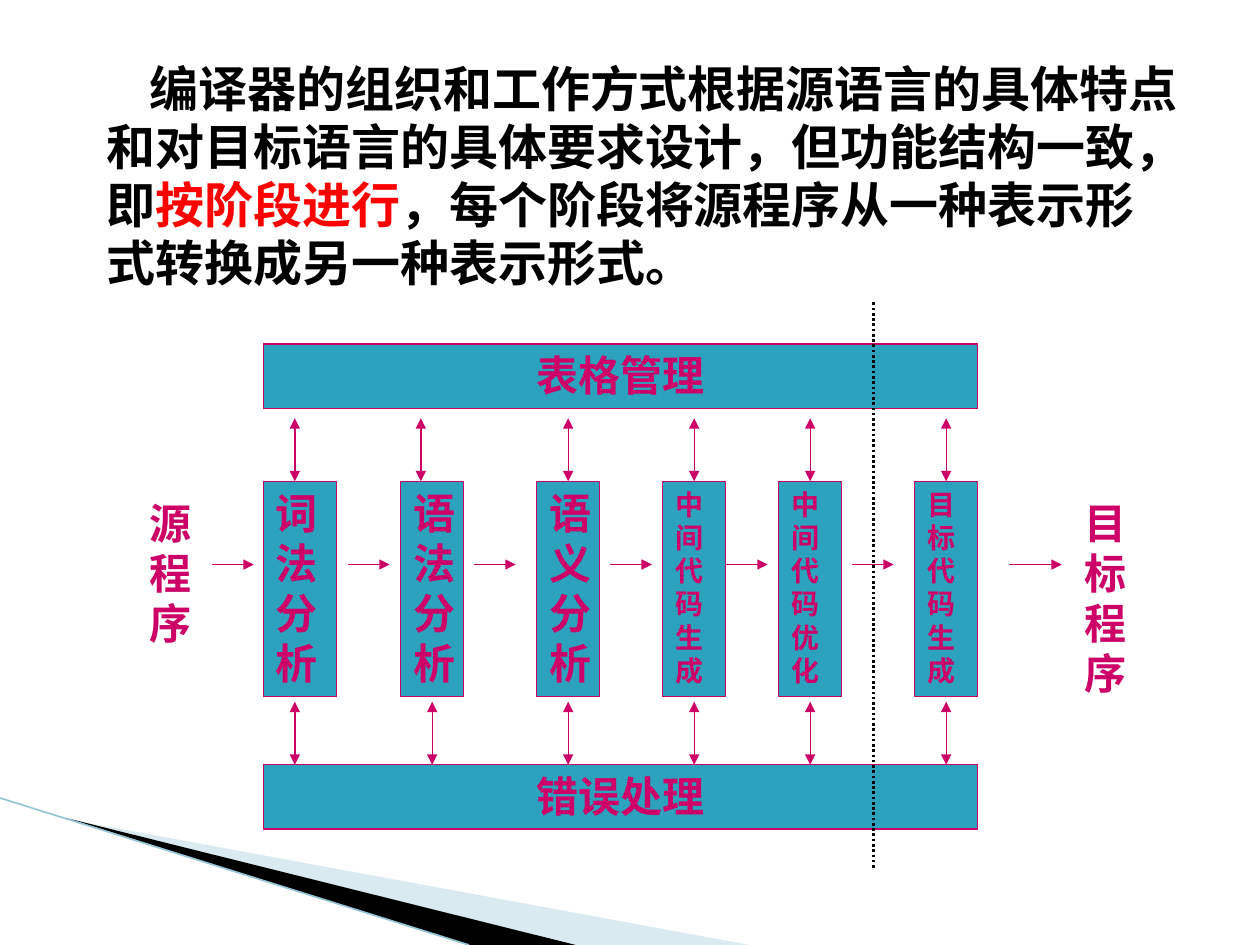
from lxml import etree
from pptx import Presentation
from pptx.dml.color import RGBColor
from pptx.enum import dml, lang, shapes, text
from pptx.oxml import ns
from pptx.util import Pt

COLORS = {
    "ink": "000000",
    "accent": "CC0066",
    "box": "2DA2BF",
    "red": "FF0000",
    "pale": "A0CBDC",
    "edge": "97C5D8",
}
SERIF, SANS = "Times New Roman", "Noto Sans CJK SC"
LEADING = 1.19

STAGE_TOP, STAGE_H = 275, 123
BAR_LEFT, BAR_W, BAR_H = 150.5, 408.2, 36.7
TABLE_BAR_TOP, ERROR_BAR_TOP = 196.6, 437
ARROW_LEN = 36
FLOW_Y = 322.6

# label, left, width, text size, x of upper arrow, x of lower arrow
STAGES = [
    ("词法分析", 150.5, 41.8, 24, 168.5, 168.5),
    ("语法分析", 229, 36, 24, 240.5, 247),
    ("语义分析", 306.7, 36, 24, 324.7, 324.7),
    ("中间代码生成", 378.7, 36, 16, 396.7, 396.7),
    ("中间代码优化", 445, 36, 16, 463, 463),
    ("目标代码生成", 522.7, 36, 16, 540.7, 540.7),
]
# left end and length of each flow arrow
FLOW = [(121, 24), (198.7, 24), (270.7, 24), (348.5, 24),
        (414.7, 24), (486.7, 24), (576.7, 30)]


def rgb(key):
    return RGBColor.from_string(COLORS[key])


def sub(parent, tag, **attrs):
    return etree.SubElement(parent, ns.qn(tag), **attrs)


def style_paragraph(p, size, color, name):
    p.line_spacing = Pt(round(size * LEADING, 1))
    f = p.font
    f.size, f.bold, f.name = Pt(size), True, name
    f.color.rgb = rgb(color)
    f.language_id = lang.MSO_LANGUAGE_ID.SIMPLIFIED_CHINESE


def set_label(sp, label, size, align=text.PP_ALIGN.LEFT):
    tf = sp.text_frame
    tf.word_wrap = True
    tf.vertical_anchor = text.MSO_ANCHOR.TOP
    p = tf.paragraphs[0]
    p.text = label
    p.alignment = align
    style_paragraph(p, size, "accent", SERIF)


def add_box(s, label, x, y, w, h, size, align=text.PP_ALIGN.LEFT):
    sp = s.shapes.add_shape(shapes.MSO_SHAPE.RECTANGLE, Pt(x), Pt(y), Pt(w), Pt(h))
    sp.shadow.inherit = False
    sp.fill.solid()
    sp.fill.fore_color.rgb = rgb("box")
    sp.line.color.rgb = rgb("accent")
    sp.line.width = Pt(0.75)
    set_label(sp, label, size, align)
    return sp


def add_label(s, label, x, y, w, h):
    set_label(s.shapes.add_textbox(Pt(x), Pt(y), Pt(w), Pt(h)), label, 24)


def add_line(s, x1, y1, x2, y2, color="accent", width=0.75, ends=()):
    c = s.shapes.add_connector(
        shapes.MSO_CONNECTOR.STRAIGHT, Pt(x1), Pt(y1), Pt(x2), Pt(y2))
    c.line.color.rgb = rgb(color)
    c.line.width = Pt(width)
    for end in ends:
        sub(c.line._get_or_add_ln(), end, type="triangle")
    sub(c._element.spPr, "a:effectLst")
    return c


def add_wedge(s, points, color, alpha=None):
    start, *rest = [(Pt(x), Pt(y)) for x, y in points]
    fb = s.shapes.build_freeform(*start)
    fb.add_line_segments(rest, close=True)
    sp = fb.convert_to_shape()
    sp.shadow.inherit = False
    sp.line.fill.background()
    sp.fill.solid()
    sp.fill.fore_color.rgb = rgb(color)
    if alpha:
        clr = sp._element.spPr.find(".//" + ns.qn("a:srgbClr"))
        sub(clr, "a:alpha", val=str(alpha * 1000))


def add_intro(s):
    tf = s.shapes.add_textbox(Pt(25.2), Pt(26), Pt(657.4), Pt(136)).text_frame
    tf.word_wrap = True
    tf.margin_top = Pt(7.6)
    p = tf.paragraphs[0]
    pPr = p._p.get_or_add_pPr()
    pPr.set("marL", str(Pt(28.8)))
    pPr.set("indent", str(Pt(24.5)))
    style_paragraph(p, 28, "ink", SANS)
    for part, key in [
        ("编译器的组织和工作方式根据源语言的具体特点和对目标语言的具体要求设计，但功能结构一致，即", None),
        ("按阶段进行", "red"),
        ("，每个阶段将源程序从一种表示形式转换成另一种表示形式。", None),
    ]:
        r = p.add_run()
        r.text = part
        if key:
            r.font.color.rgb = rgb(key)
            r.font.name = SERIF


def add_stages(s):
    both = ("a:headEnd", "a:tailEnd")
    for label, x, w, size, up_x, down_x in STAGES:
        sp = add_box(s, label, x, STAGE_TOP, w, STAGE_H, size)
        up = add_line(s, up_x, STAGE_TOP - ARROW_LEN, up_x, STAGE_TOP, ends=both)
        if abs(up_x - x - w / 2) < 0.1:
            up.end_connect(sp, 0)
        add_line(s, down_x, ERROR_BAR_TOP - ARROW_LEN, down_x, ERROR_BAR_TOP, ends=both)


def main():
    prs = Presentation()
    prs.slide_width, prs.slide_height = Pt(720), Pt(540)
    s = prs.slides.add_slide(prs.slide_layouts[6])

    # Corner decoration
    add_wedge(s, [(39.6, 468.3), (428.4, 540), (328.3, 540)], "pale", 40)
    add_wedge(s, [(38.5, 467.6), (329, 540), (268, 540)], "ink")
    add_line(s, 0, 456, 268, 540, "edge", 0.95)

    # Introduction
    add_intro(s)

    # Source and target programs
    add_label(s, "源程序", 78.5, 281, 23.8, 93.6)
    add_label(s, "目标程序", 612.7, 281, 41.8, 122.4)

    # Shared services above and below the stages
    for label, y in [("表格管理", TABLE_BAR_TOP), ("错误处理", ERROR_BAR_TOP)]:
        add_box(s, label, BAR_LEFT, y, BAR_W, BAR_H, 24, text.PP_ALIGN.CENTER)

    # Compiler stages and the flow between them
    add_stages(s)
    for x, length in FLOW:
        add_line(s, x, FLOW_Y, x + length, FLOW_Y, ends=("a:tailEnd",))

    # Divider before target code generation
    divider = add_line(s, 499, 172.8, 499, 496.8, "ink", 1.5)
    divider.line.dash_style = dml.MSO_LINE.ROUND_DOT

    prs.save("out.pptx")


if __name__ == "__main__":
    main()
